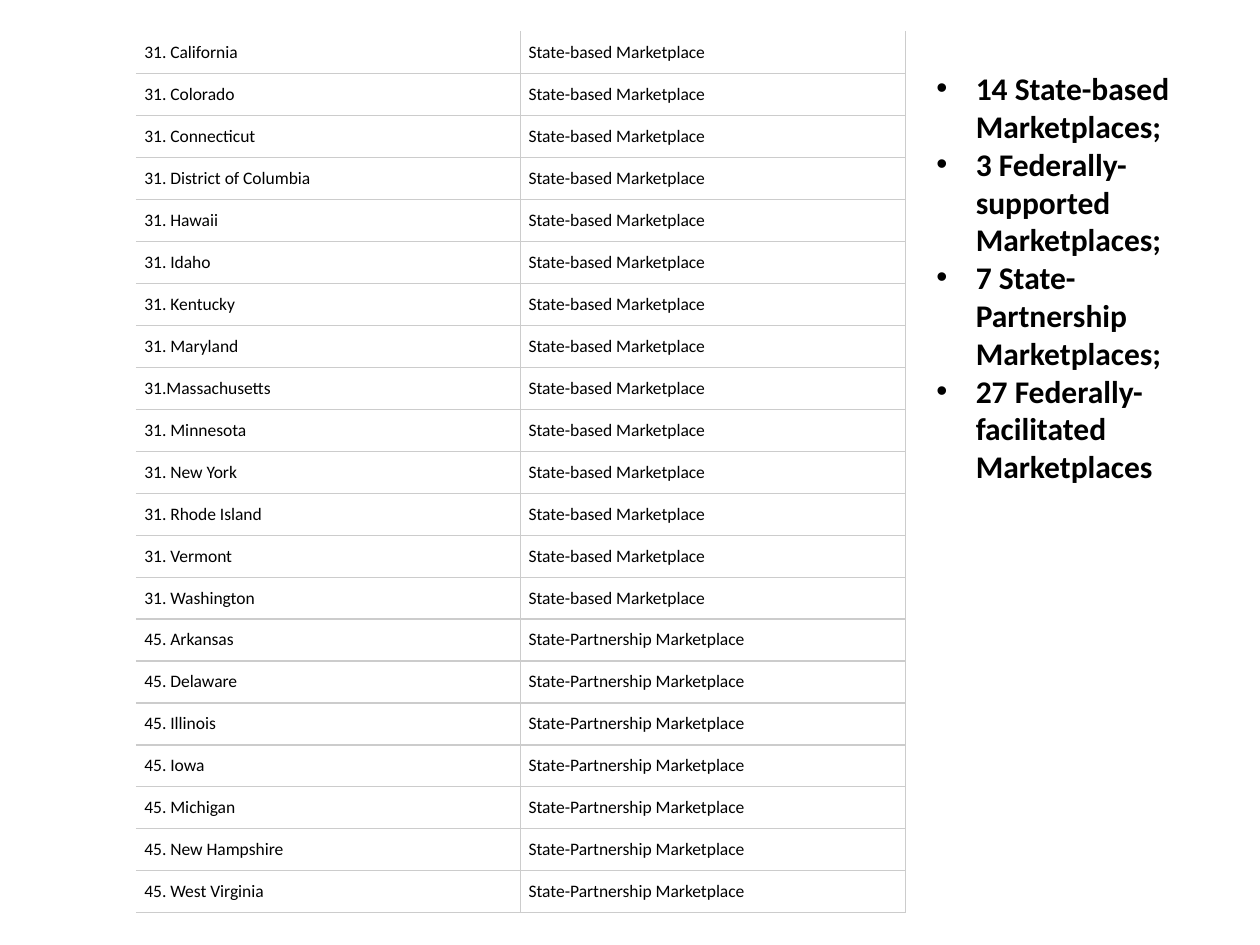
from dataclasses import dataclass

from lxml import etree
from pptx import Presentation
from pptx import util as u
from pptx.dml.color import RGBColor
from pptx.enum import text
from pptx.oxml import ns


@dataclass(frozen=True)
class Theme:
    font: str = "Calibri"
    ink: str = "000000"
    paper: str = "FFFFFF"
    rule: str = "CCCCCC"
    rule_width: float = 0.75
    table_size: int = 10
    summary_size: int = 18


THEME = Theme()

# Number before each state, marketplace type, states
GROUPS = [
    (31, "State-based Marketplace",
     ["California", "Colorado", "Connecticut", "District of Columbia",
      "Hawaii", "Idaho", "Kentucky", "Maryland", "Massachusetts",
      "Minnesota", "New York", "Rhode Island", "Vermont", "Washington"]),
    (45, "State-Partnership Marketplace",
     ["Arkansas", "Delaware", "Illinois", "Iowa", "Michigan",
      "New Hampshire", "West Virginia"]),
]

SUMMARY = [
    "14 State-based Marketplaces;",
    "3 Federally-supported Marketplaces;",
    "7 State-Partnership Marketplaces;",
    "27 Federally-facilitated Marketplaces",
]


def state_label(number, state):
    # Massachusetts alone has no gap after its number
    gap = "" if state == "Massachusetts" else " "
    return f"{number}.{gap}{state}"


def style_runs(para, size, bold=False):
    for span in para.runs:
        span.font.name = THEME.font
        span.font.size = u.Pt(size)
        span.font.bold = bold
        span.font.color.rgb = RGBColor.from_string(THEME.ink)


def add_borders(cell, sides):
    """Draw the given sides, in the order L, R, T, B."""
    properties = cell._tc.get_or_add_tcPr()
    for position, side in enumerate(sides):
        line = etree.Element(ns.qn(f"a:ln{side}"), w=str(u.Pt(THEME.rule_width)))
        fill = etree.SubElement(line, ns.qn("a:solidFill"))
        etree.SubElement(fill, ns.qn("a:srgbClr"), val=THEME.rule)
        properties.insert(position, line)


def fill_cell(cell, label, sides):
    cell.text_frame.text = label
    style_runs(cell.text_frame.paragraphs[0], THEME.table_size)
    cell.vertical_anchor = text.MSO_ANCHOR.MIDDLE
    cell.margin_left = cell.margin_right = u.Pt(4.5)
    cell.margin_top = cell.margin_bottom = u.Pt(2.25)
    cell.fill.solid()
    cell.fill.fore_color.rgb = RGBColor.from_string(THEME.paper)
    add_borders(cell, sides)


def add_state_table(page, left, top, column_width, row_height):
    rows = [(state_label(number, state), kind)
            for number, kind, states in GROUPS for state in states]
    frame = page.shapes.add_table(
        len(rows), 2, u.Pt(left), u.Pt(top),
        u.Pt(2 * column_width), u.Pt(row_height * len(rows)))
    table = frame.table
    table.first_row = table.horz_banding = False
    for column in table.columns:
        column.width = u.Pt(column_width)
    for row_index, labels in enumerate(rows):
        table.rows[row_index].height = u.Pt(row_height)
        for column_index, label in enumerate(labels):
            # The outer left and top edges stay open
            sides = ("L" if column_index else "") + "R" + ("T" if row_index else "") + "B"
            fill_cell(table.cell(row_index, column_index), label, sides)


def add_bullet(para, indent):
    properties = para._p.get_or_add_pPr()
    properties.set("marL", str(u.Pt(indent)))
    properties.set("indent", str(-u.Pt(indent)))
    etree.SubElement(properties, ns.qn("a:buFont"), typeface="Arial")
    etree.SubElement(properties, ns.qn("a:buChar"), char="•")


def add_summary(page, left, top, width, height):
    box = page.shapes.add_textbox(u.Pt(left), u.Pt(top), u.Pt(width), u.Pt(height))
    frame = box.text_frame
    frame.word_wrap = True
    frame.auto_size = text.MSO_AUTO_SIZE.SHAPE_TO_FIT_TEXT
    frame.text = "\n".join(SUMMARY)
    for para in frame.paragraphs:
        add_bullet(para, 22.5)
        style_runs(para, THEME.summary_size, bold=True)


def main():
    deck = Presentation()
    deck.slide_width, deck.slide_height = u.Pt(720), u.Pt(540)
    page = deck.slides.add_slide(deck.slide_layouts[6])

    # States and their marketplace type
    add_state_table(page, left=78, top=18, column_width=219.6, row_height=24)

    # Totals by marketplace type
    add_summary(page, left=528, top=36, width=174, height=247)

    deck.save("out.pptx")


if __name__ == "__main__":
    main()
